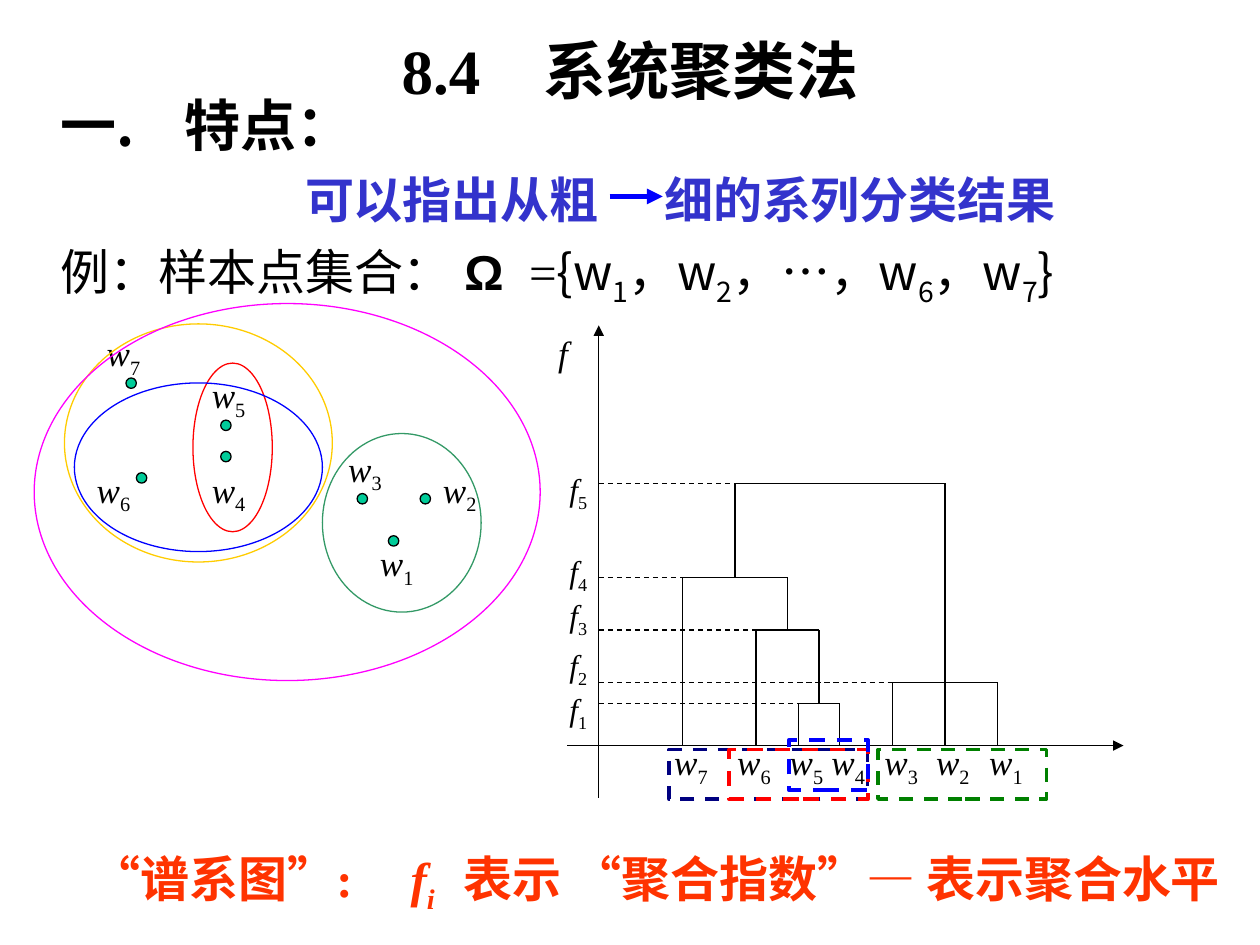
from pptx import Presentation
from pptx.dml.color import RGBColor
from pptx.enum.dml import MSO_LINE
from pptx.enum.shapes import MSO_CONNECTOR, MSO_SHAPE
from pptx.enum.text import MSO_ANCHOR, PP_ALIGN
from pptx.oxml.ns import qn
from pptx.util import Cm, Pt
from lxml.etree import SubElement

SERIF, SANS, ARIAL = "Times New Roman", "Noto Sans CJK SC", "Arial"
COLORS = {
    "black": "000000", "indigo": "3333CC", "blue": "0000FF", "teal": "00CC99",
    "orange": "FF3300", "red": "FF0000", "sea": "339966", "gold": "FFCC00",
    "magenta": "FF00FF", "navy": "000080", "green": "008000",
}
SUB = {"base": "-25000"}


class SlideBuilder:
    def __init__(self, presentation):
        self.slide = presentation.slides.add_slide(presentation.slide_layouts[5])

    def color(self, name):
        return RGBColor.from_string(COLORS[name])

    def style_line(self, line, color, width, dashed):
        line.color.rgb = self.color(color)
        line.width = Pt(width)
        if dashed:
            line.dash_style = MSO_LINE.DASH

    def add_runs(self, paragraph, runs, tabs=(), color="black", **base):
        """Fill a paragraph with (text, format) runs; tabs are in cm."""
        if tabs:
            tab_list = SubElement(paragraph._p.get_or_add_pPr(), qn("a:tabLst"))
            for position in tabs:
                SubElement(tab_list, qn("a:tab"), pos=str(Cm(position)), algn="l")
        for text, changes in runs:
            values = {"name": SERIF, "bold": False, "italic": False, **base, **changes}
            offset = values.pop("base", None)
            run = paragraph.add_run()
            run.text = text
            for key, value in values.items():
                setattr(run.font, key, value)
            run.font.color.rgb = self.color(color)
            properties = run._r.get_or_add_rPr()
            SubElement(properties, qn("a:ea"), typeface=SANS)
            if offset:
                properties.set("baseline", offset)

    def title(self, box, runs, **base):
        title = self.slide.shapes.title
        for key, value in zip(("left", "top", "width", "height"), box):
            setattr(title, key, Cm(value))
        title.text_frame.vertical_anchor = MSO_ANCHOR.MIDDLE
        paragraph = title.text_frame.paragraphs[0]
        paragraph.alignment = PP_ALIGN.CENTER
        self.add_runs(paragraph, runs, **base)

    def text(self, box, *paragraphs, line_spacing=None):
        """Add a text box; each paragraph is a dict of add_runs() arguments."""
        frame = self.slide.shapes.add_textbox(*map(Cm, box)).text_frame
        frame.word_wrap = True
        for index, content in enumerate(paragraphs):
            paragraph = frame.add_paragraph() if index else frame.paragraphs[0]
            if index:
                paragraph.space_before = Pt(7)
            if line_spacing:
                paragraph.line_spacing = line_spacing
            self.add_runs(paragraph, **content)

    def label(self, left, top, letter, index="", size=20, width=1.7):
        runs = [(letter, {"italic": True})]
        if index:
            runs.append((index, SUB))
        self.text((left, top, width, 1.2), {"runs": runs, "size": Pt(size)})

    def shape(self, kind, box, line, width=0.75, fill=None, dashed=False):
        shape = self.slide.shapes.add_shape(kind, *map(Cm, box))
        shape.shadow.inherit = False
        if fill:
            shape.fill.solid()
            shape.fill.fore_color.rgb = self.color(fill)
        else:
            shape.fill.background()
        self.style_line(shape.line, line, width, dashed)

    def line(self, start, end, color="black", width=0.75, dashed=False, arrow=False):
        connector = self.slide.shapes.add_connector(
            MSO_CONNECTOR.STRAIGHT, *map(Cm, (*start, *end)))
        self.style_line(connector.line, color, width, dashed)
        properties = connector._element.spPr
        if arrow:
            SubElement(properties.find(qn("a:ln")), qn("a:tailEnd"), type="triangle")
        SubElement(properties, qn("a:effectLst"))


def add_texts(builder):
    builder.title((1.9, 0.5, 21.6, 1.8), [("8.4　", {}), ("系统聚类法", {"name": SANS})],
                  size=Pt(36), bold=True)
    sans = {"name": SANS}
    sub = {"name": SANS, **SUB}
    builder.text(
        (0.97, 1.7, 25.5, 5.5),
        {"runs": [("一.\t特点", sans), ("：", {})], "tabs": [2.5],
         "size": Pt(32), "bold": True},
        {"runs": [("\t可以指出从粗\t细的系列分类结果", sans)], "tabs": [4.93, 12.17],
         "size": Pt(28), "bold": True, "color": "indigo"},
        {"runs": [("例：样本点集合：\t", {}), ("Ω\t", {"name": ARIAL, "bold": True}),
                  ("=", {}), ("{w", sans), ("1", sub), ("，w", sans), ("2", sub),
                  ("，", sans), ("…", {}), ("，w", sans), ("6", sub),
                  ("，w", sans), ("7", sub), ("}", sans)],
         "tabs": [8.14, 9.45], "size": Pt(28)})
    builder.line((12.29, 3.96), (13.36, 3.96), "blue", 3, arrow=True)
    builder.text(
        (1.6, 16.31, 23.6, 2.29),
        {"runs": [("“谱系图”:\t", {}), ("f", {"italic": True}),
                  ("i", {"italic": True, **SUB}),
                  ("\t表示 “聚合指数”— 表示聚合水平", {})],
         "tabs": [6.43, 7.5], "size": Pt(28), "bold": True, "color": "orange"},
        line_spacing=1.5)


def add_point_sets(builder):
    # index: dot left, dot top, label left, label top
    points = {
        "1": (7.83, 10.8, 7.41, 10.8), "2": (8.47, 9.95, 8.68, 9.31),
        "3": (7.2, 9.95, 6.77, 8.89), "4": (4.45, 9.1, 4.02, 9.31),
        "5": (4.45, 8.47, 4.02, 7.41), "6": (2.75, 9.53, 1.7, 9.31),
        "7": (2.54, 7.62, 1.9, 6.56),
    }
    for index, (left, top, label_left, label_top) in points.items():
        builder.shape(MSO_SHAPE.OVAL, (left, top, 0.21, 0.21), "black", fill="teal")
        builder.label(label_left, label_top, "w", index)
    for color, box in {
        "red": (3.89, 7.32, 1.6, 3.4), "sea": (6.5, 8.74, 3.2, 3.6),
        "blue": (1.5, 7.72, 5, 3.4), "gold": (1.3, 6.53, 5.4, 4.8),
        "magenta": (0.69, 6.12, 10.2, 7.6),
    }.items():
        builder.shape(MSO_SHAPE.OVAL, box, color)


def add_dendrogram(builder):
    axis, base = 12.07, 15.03
    builder.line((11.43, base), (22.65, base), arrow=True)
    builder.line((axis, 16.08), (axis, 6.56), arrow=True)
    builder.label(11, 6.56, "f", width=1.27)

    # leaf: stem position, label left
    leaves = {"w7": (13.76, 13.34), "w6": (15.24, 14.61), "w5": (16.09, 15.67),
              "w4": (16.93, 16.51), "w3": (17.99, 17.58), "w2": (19.05, 18.62),
              "w1": (20.11, 19.69)}
    nodes = {}
    for name, (stem, label_left) in leaves.items():
        nodes[name] = (stem, base)
        builder.label(label_left, 14.8, *name)

    # merged cluster: left child, right child, level, label top
    merges = {"f1": ("w5", "w4", 14.18, 13.79), "f2": ("w3", "w1", 13.76, 12.9),
              "f3": ("w6", "f1", 12.7, 11.89), "f4": ("w7", "f3", 11.64, 11),
              "f5": ("f4", "w2", 9.74, 9.35)}
    for name, (left, right, level, label_top) in merges.items():
        ends = [(nodes[child][0], level) for child in (left, right)]
        for child, end in zip((left, right), ends):
            builder.line(end, nodes[child])
        builder.line(*ends)
        builder.line((axis, level), ends[0], dashed=True)
        builder.label(11.23, label_top, *name, size=18, width=1.27)
        nodes[name] = ((ends[0][0] + ends[1][0]) / 2, level)

    for color, left, top, width, weight in (
            ("navy", 13.49, 15.11, 4, 2), ("green", 17.7, 15.11, 3.4, 2),
            ("red", 14.7, 15.11, 2.8, 2.25), ("blue", 15.9, 14.92, 1.6, 2.25)):
        builder.shape(MSO_SHAPE.RECTANGLE, (left, top, width, 1), color, weight, dashed=True)


def main():
    presentation = Presentation()
    presentation.slide_width, presentation.slide_height = Cm(25.4), Cm(19.05)
    builder = SlideBuilder(presentation)
    add_texts(builder)
    add_point_sets(builder)
    add_dendrogram(builder)
    presentation.save("out.pptx")


if __name__ == "__main__":
    main()
